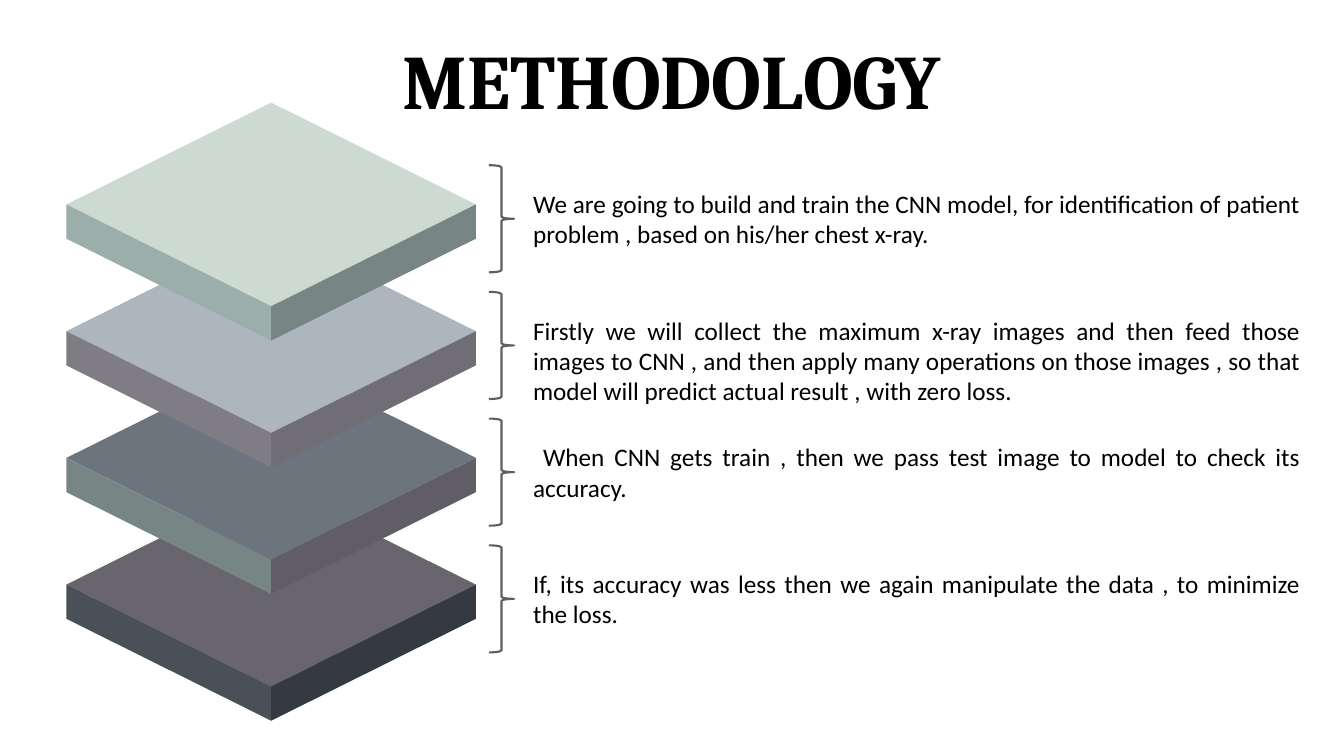
from dataclasses import dataclass

from pptx import Presentation
from pptx.dml.color import RGBColor
from pptx.enum.shapes import MSO_SHAPE
from pptx.enum.text import MSO_ANCHOR, MSO_AUTO_SIZE, PP_ALIGN
from pptx.util import Pt


@dataclass(frozen=True)
class Theme:
    ink: str = "000000"
    brace: str = "605E64"
    title_font: str = "Cambria"
    body_font: str = "Calibri"
    title_size: int = 55
    body_size: int = 18
    brace_width: float = 1.5


@dataclass(frozen=True)
class Step:
    wording: str
    top_color: str
    left_color: str
    right_color: str


THEME = Theme()
STEPS = [
    Step("We are going to build and train the CNN model, for identification of "
         "patient problem , based on his/her chest x-ray.",
         "CCDAD1", "9CAEA9", "788585"),
    Step("Firstly we will collect the maximum x-ray images and then feed those "
         "images to CNN , and then apply many operations on those images , so that "
         "model will predict actual result , with zero loss.",
         "ADB5BD", "7F7C83", "706D74"),
    Step(" When CNN gets train , then we pass test image to model to check its accuracy.",
         "6C757D", "788585", "605E64"),
    Step("If, its accuracy was less then we again manipulate the data , to minimize "
         "the loss.",
         "68656C", "495057", "343A40"),
]
PITCH = 90.5  # vertical distance between steps
SLAB_DEPTH = 24.5


def write(frame, text, *, font, size, align, bold=False, anchor=MSO_ANCHOR.TOP):
    frame.word_wrap = True
    frame.auto_size = MSO_AUTO_SIZE.NONE
    frame.vertical_anchor = anchor
    paragraph = frame.paragraphs[0]
    paragraph.alignment = align
    run = paragraph.add_run()
    run.text = text
    run.font.name = font
    run.font.size = Pt(size)
    run.font.bold = bold
    run.font.color.rgb = RGBColor.from_string(THEME.ink)


def draw_title(slide, left, top, width, height):
    title = slide.shapes.title
    title.left, title.top = Pt(left), Pt(top)
    title.width, title.height = Pt(width), Pt(height)
    write(title.text_frame, "METHODOLOGY", font=THEME.title_font,
          size=THEME.title_size, bold=True, align=PP_ALIGN.CENTER,
          anchor=MSO_ANCHOR.MIDDLE)


def draw_face(slide, corners, color):
    start, *others = [(Pt(x), Pt(y)) for x, y in corners]
    outline = slide.shapes.build_freeform(*start)
    outline.add_line_segments(others, close=True)
    face = outline.convert_to_shape()
    face.shadow.inherit = False
    face.fill.solid()
    face.fill.fore_color.rgb = RGBColor.from_string(color)
    face.line.fill.background()


def draw_slab(slide, step, left, top, width, height):
    """Draw a diamond with two side faces inside the given box."""
    center, right = left + width / 2, left + width
    front = top + height - SLAB_DEPTH
    side = (top + front) / 2
    draw_face(slide, [(center, top), (right, side), (center, front), (left, side)],
              step.top_color)
    for edge, color in ((left, step.left_color), (right, step.right_color)):
        draw_face(slide, [(edge, side), (center, front),
                          (center, front + SLAB_DEPTH), (edge, side + SLAB_DEPTH)],
                  color)


def draw_stack(slide, left, top, width, slab_height):
    # The lowest slab goes first so that upper slabs overlap it
    for index, step in reversed(list(enumerate(STEPS))):
        draw_slab(slide, step, left, top + index * PITCH, width, slab_height)


def draw_explanations(slide, left, top, width, row_height):
    brace_width, text_offset, text_drop = 18, 24.5, 13
    for index, step in enumerate(STEPS):
        row_top = top + index * PITCH
        # Brace beside the slab
        brace = slide.shapes.add_shape(MSO_SHAPE.RIGHT_BRACE, Pt(left), Pt(row_top),
                                       Pt(brace_width), Pt(row_height))
        brace.shadow.inherit = False
        brace.fill.background()
        brace.line.color.rgb = RGBColor.from_string(THEME.brace)
        brace.line.width = Pt(THEME.brace_width)
        # Wording of the step
        wording = slide.shapes.add_textbox(
            Pt(left + text_offset), Pt(row_top + text_drop),
            Pt(width - text_offset), Pt(row_height - text_drop))
        write(wording.text_frame, step.wording, font=THEME.body_font,
              size=THEME.body_size, align=PP_ALIGN.JUSTIFY)


def build_methodology(deck):
    slide = deck.slides.add_slide(deck.slide_layouts.get_by_name("Title Only"))
    draw_title(slide, left=193.5, top=19.5, width=572.5, height=74)
    draw_stack(slide, left=47.5, top=73.3, width=292.4, slab_height=170)
    draw_explanations(slide, left=349.2, top=118, width=586.8, row_height=76.5)


def main():
    deck = Presentation()
    deck.slide_width, deck.slide_height = Pt(960), Pt(540)
    build_methodology(deck)
    deck.save("out.pptx")


if __name__ == "__main__":
    main()
